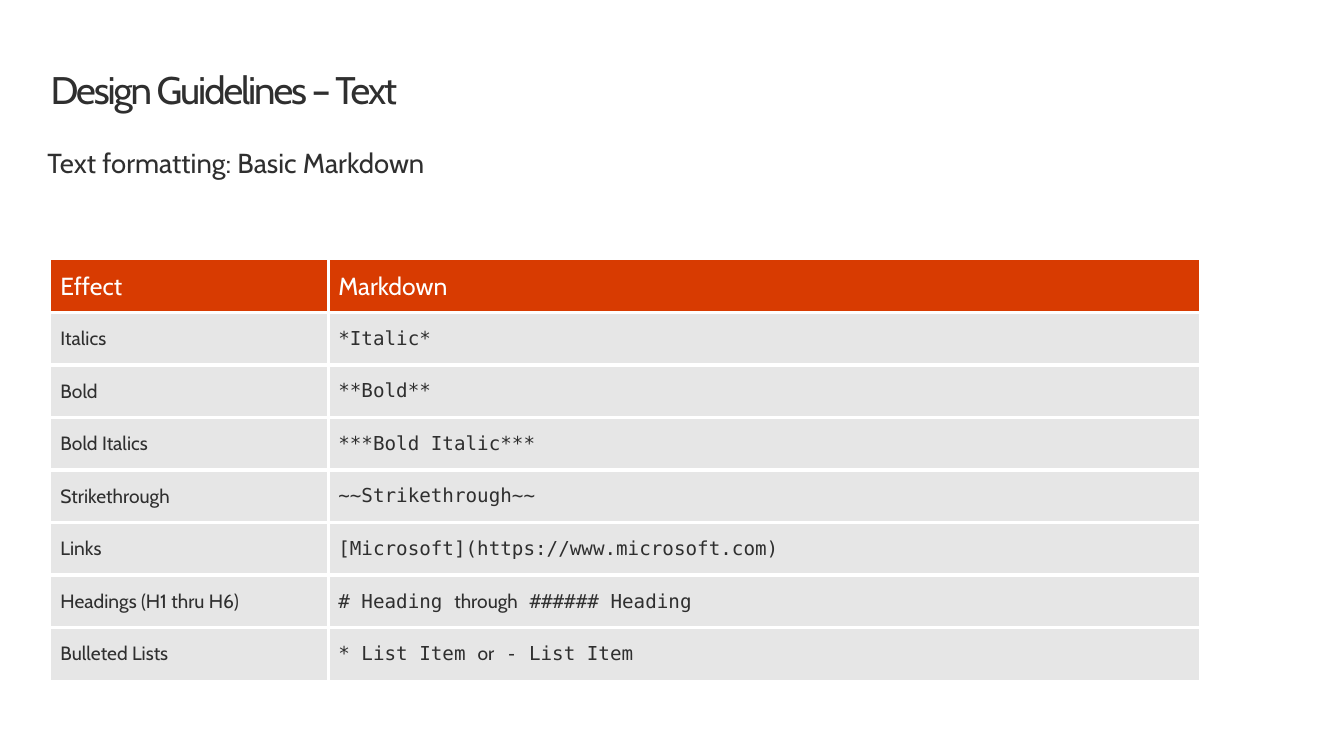
from dataclasses import dataclass

from lxml.etree import SubElement
from pptx import Presentation
from pptx.dml.color import RGBColor
from pptx.enum.text import MSO_ANCHOR as Anchor, MSO_AUTO_SIZE as AutoSize, PP_ALIGN as Align
from pptx.oxml.ns import qn
from pptx.util import Cm, Pt


@dataclass(frozen=True)
class Theme:
    ink: str = "2F2F2F"
    accent: str = "D83B01"
    band: str = "E6E6E6"
    white: str = "FFFFFF"
    sans: str = "Cabin"
    mono: str = "DejaVu Sans Mono"
    title_size: int = 28
    subtitle_size: int = 20
    header_size: int = 18
    body_size: int = 14
    border: int = 3


theme = Theme()


def format_run(run, size, color, family=theme.sans):
    run.font.size = Pt(size)
    run.font.name = family
    run.font.bold = False
    run.font.color.rgb = RGBColor.from_string(color)


def add_border(cell, side):
    line = SubElement(cell._tc.get_or_add_tcPr(), qn(f"a:{side}"), w=str(Pt(theme.border)))
    fill = SubElement(line, qn("a:solidFill"))
    SubElement(fill, qn("a:srgbClr"), val=theme.white)


presentation = Presentation()
presentation.slide_width = Cm(34.54)
presentation.slide_height = Cm(19.43)
slide = presentation.slides.add_slide(presentation.slide_layouts[5])

title = slide.shapes.title
title.left, title.top, title.width, title.height = Cm(1.3), Cm(1.75), Cm(32.03), Cm(1.14)
title_frame = title.text_frame
title_frame.text = "Design Guidelines – Text"
title_frame.margin_left = title_frame.margin_right = 0
title_frame.margin_top = title_frame.margin_bottom = 0
title_frame.vertical_anchor = Anchor.TOP
title_frame.auto_size = AutoSize.NONE
title_paragraph = title_frame.paragraphs[0]
title_paragraph.alignment = Align.LEFT
title_paragraph.line_spacing = Pt(32)
title_run = title_paragraph.runs[0]
format_run(title_run, theme.title_size, theme.ink)
title_run.font._element.set("spc", "-150")

subtitle = slide.shapes.add_textbox(Cm(0.81), Cm(3.61), Cm(24.97), Cm(1.27))
subtitle_frame = subtitle.text_frame
subtitle_frame.word_wrap = True
subtitle_frame.margin_left = subtitle_frame.margin_right = Cm(0.41)
subtitle_frame.margin_top = subtitle_frame.margin_bottom = Cm(0.25)
subtitle_frame.text = "Text formatting: Basic Markdown"
subtitle_paragraph = subtitle_frame.paragraphs[0]
subtitle_paragraph.line_spacing = 0.9
format_run(subtitle_paragraph.runs[0], theme.subtitle_size, theme.ink)

markdown_rows = [
    ("Effect", ["Markdown"]),
    ("Italics", ["*Italic*"]),
    ("Bold", ["**Bold**"]),
    ("Bold Italics", ["***Bold Italic***"]),
    ("Strikethrough", ["~~Strikethrough~~"]),
    ("Links", ["[Microsoft](https://www.microsoft.com)"]),
    ("Headings (H1 thru H6)", ["# Heading ", "through", " ###### Heading"]),
    ("Bulleted Lists", ["* List Item ", "or", " - List Item"]),
]
column_widths = [Cm(7.14), Cm(22.4)]
row_height = Cm(1.35)
last_row = len(markdown_rows) - 1

table = slide.shapes.add_table(
    len(markdown_rows), 2, Cm(1.3), Cm(6.68), sum(column_widths), row_height * len(markdown_rows)
).table
table.first_row = False
table.horz_banding = False
for column, width in zip(table.columns, column_widths):
    column.width = width

for row_index, (effect, markdown) in enumerate(markdown_rows):
    is_header = row_index == 0
    table.rows[row_index].height = row_height
    for column_index, pieces in enumerate([[effect], markdown]):
        cell = table.cell(row_index, column_index)
        add_border(cell, "lnL" if column_index else "lnR")
        if row_index > 0:
            add_border(cell, "lnT")
        if row_index < last_row:
            add_border(cell, "lnB")
        cell.fill.solid()
        cell.fill.fore_color.rgb = RGBColor.from_string(theme.accent if is_header else theme.band)
        cell.vertical_anchor = Anchor.MIDDLE
        paragraph = cell.text_frame.paragraphs[0]
        for piece_index, piece in enumerate(pieces):
            run = paragraph.add_run()
            run.text = piece
            is_code = column_index == 1 and not is_header and piece_index % 2 == 0
            format_run(
                run,
                theme.header_size if is_header else theme.body_size,
                theme.white if is_header else theme.ink,
                theme.mono if is_code else theme.sans,
            )

presentation.save("out.pptx")
